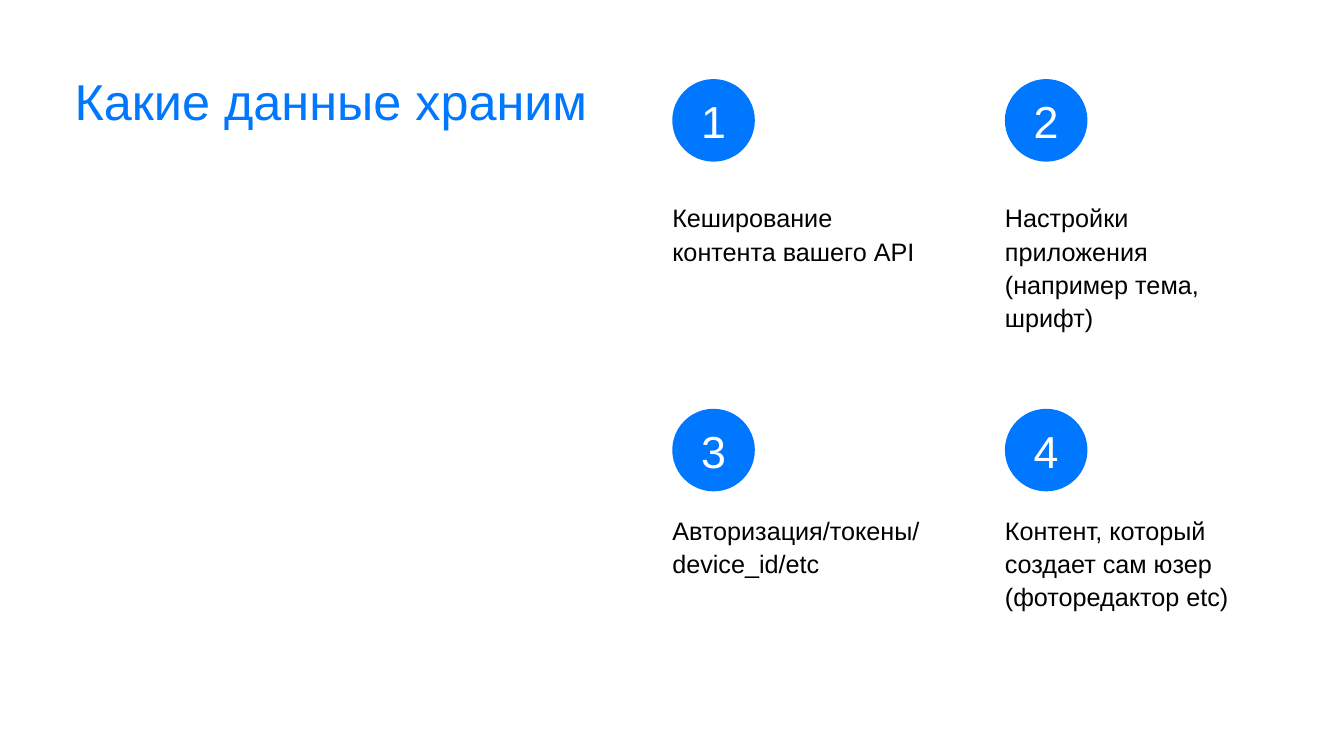
"""Build the slide listing the four kinds of stored data."""
import pptx
import pptx.dml.color
import pptx.enum.shapes
import pptx.enum.text
import pptx.util

Pt = pptx.util.Pt
PP_ALIGN = pptx.enum.text.PP_ALIGN
ANCHOR = pptx.enum.text.MSO_ANCHOR
COLORS = {"accent": "0077FF", "body": "000000", "number": "FFFFFF"}


def color(name):
    return pptx.dml.color.RGBColor.from_string(COLORS[name])


def write(shape, text, size, color_name, anchor, paragraph_format):
    frame = shape.text_frame
    frame.text = text
    frame_format = {
        "word_wrap": True,
        "auto_size": pptx.enum.text.MSO_AUTO_SIZE.NONE,
        "vertical_anchor": anchor,
        "margin_left": 0,
        "margin_top": 0,
        "margin_right": 0,
        "margin_bottom": 0,
    }
    for name, value in frame_format.items():
        setattr(frame, name, value)
    paragraph = frame.paragraphs[0]
    for name, value in paragraph_format.items():
        setattr(paragraph, name, value)
    font = paragraph.runs[0].font
    for name, value in {"name": "Arial", "size": Pt(size), "bold": False}.items():
        setattr(font, name, value)
    font.color.rgb = color(color_name)


deck = pptx.Presentation()
deck.slide_width, deck.slide_height = Pt(960), Pt(540)
slide = deck.slides.add_slide(deck.slide_layouts[5])

heading = slide.shapes.title
heading_place = {"left": 53.3, "top": 54.7, "width": 854.6, "height": 50.4}
for name, value in heading_place.items():
    setattr(heading, name, Pt(value))
write(heading, "Какие данные храним", 36, "accent", ANCHOR.TOP,
      {"alignment": PP_ALIGN.LEFT, "line_spacing": 0.9})

data_kinds = [
    "Кеширование контента вашего API",
    "Настройки приложения (например тема, шрифт)",
    "Авторизация/токены/device_id/etc",
    "Контент, который создает сам юзер (фоторедактор etc)",
]
column_lefts = [480.2, 717.8]
badge_tops = [56.5, 292]
description_tops = [142.6, 365.8]
badge_size = 59

for index, data_kind in enumerate(data_kinds):
    row, column = divmod(index, 2)
    left = Pt(column_lefts[column])

    badge = slide.shapes.add_shape(
        pptx.enum.shapes.MSO_SHAPE.OVAL,
        left, Pt(badge_tops[row]), Pt(badge_size), Pt(badge_size))
    badge.shadow.inherit = False
    badge.fill.solid()
    badge.fill.fore_color.rgb = color("accent")
    badge.line.fill.background()
    write(badge, str(index + 1), 32, "number", ANCHOR.MIDDLE,
          {"alignment": PP_ALIGN.CENTER})

    description = slide.shapes.add_textbox(
        left, Pt(description_tops[row]), Pt(192), Pt(123.8))
    write(description, data_kind, 18, "body", ANCHOR.TOP,
          {"line_spacing": 1.1, "space_before": Pt(10)})

deck.save("out.pptx")
